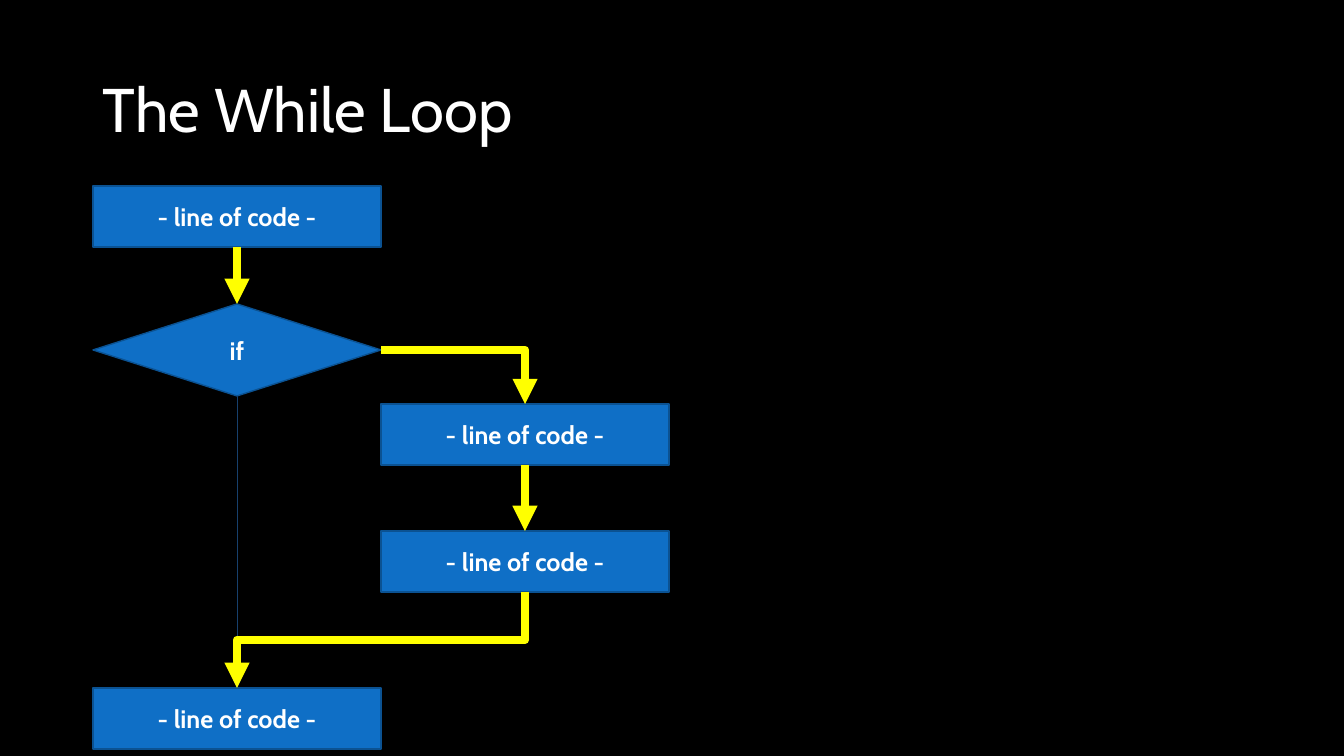
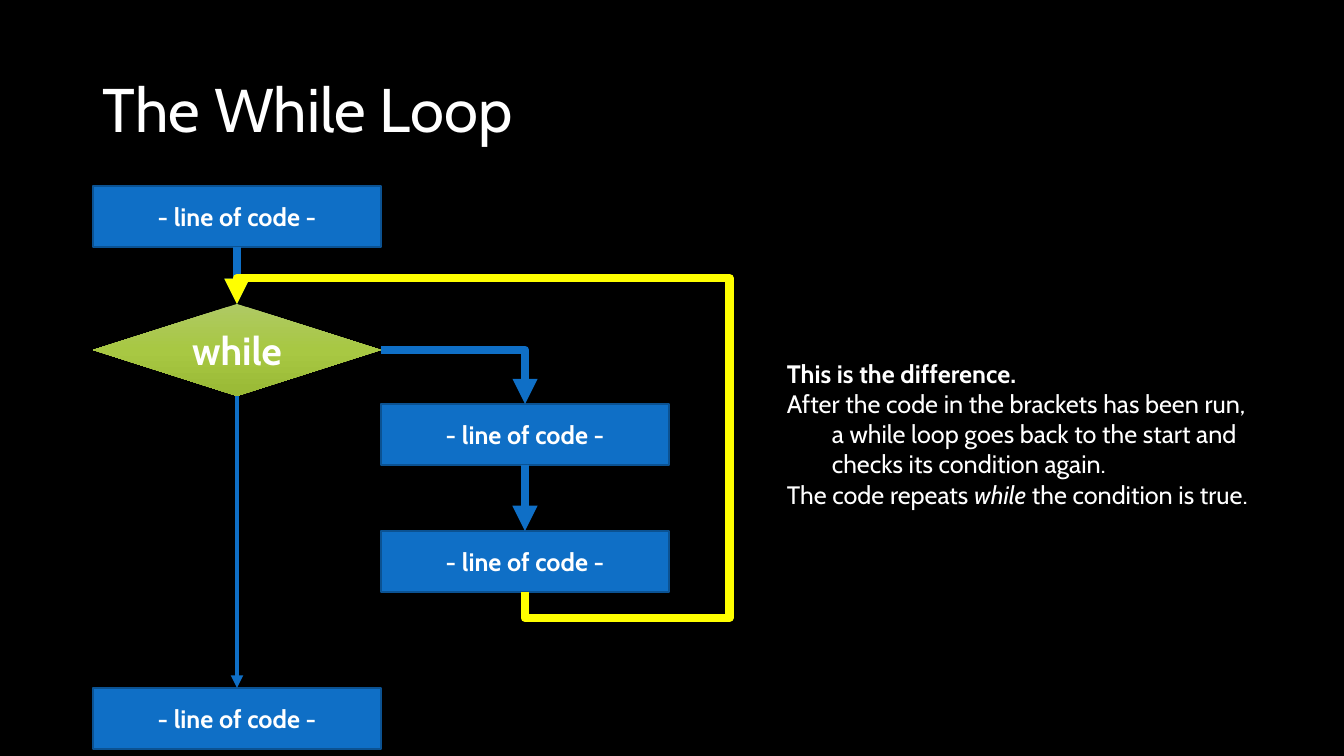
"""Build two flow chart slides that compare an if branch with a while loop."""
import copy

import pptx
import pptx.dml.color
import pptx.enum.dml
import pptx.enum.shapes
import pptx.enum.text
import pptx.oxml
import pptx.oxml.ns
import pptx.util

EMU_PER_PX = 914400 / 100.8
FONT = "Cabin"
BLACK, WHITE, YELLOW = "000000", "FFFFFF", "FFFF00"
BLUE, BLUE_EDGE, NAVY = "0F6FC6", "0B5292", "17406D"
GREENS = ["AFC964", "A8C843", "99B935"]
SLIDE_SIZE = (1344, 756)
TITLE_BOX = (93, 40, 1159, 146)
FLOW_BOX = (93, 186, 576, 563)
NOTE_BOX = (777, 353, 502, 163)
STEP_HEIGHT, DECISION_HEIGHT = 61, 92
TOP, BOTTOM, RIGHT = 0, 2, 3
SHAPES = pptx.enum.shapes.MSO_SHAPE
CONNECTORS = pptx.enum.shapes.MSO_CONNECTOR


def px(length):
    """Turn px into EMU."""
    return pptx.util.Emu(round(length * EMU_PER_PX))


def colour(value):
    """Turn a hex string into a colour."""
    return pptx.dml.color.RGBColor.from_string(value)


def style_runs(paragraph, size, bold=False):
    """Give every run of a paragraph the shared font."""
    for run in paragraph.runs:
        run.font.name = FONT
        run.font.size = pptx.util.Pt(size)
        run.font.bold = bold
        run.font.color.rgb = colour(WHITE)


def add_title(slide, box, text):
    """Place the slide title in a box."""
    frame = slide.shapes.add_textbox(*map(px, box)).text_frame
    frame.word_wrap = True
    frame.vertical_anchor = pptx.enum.text.MSO_ANCHOR.MIDDLE
    frame.text = text
    frame.paragraphs[0].line_spacing = 0.9
    style_runs(frame.paragraphs[0], 44)


def add_node(slide, kind, box, text, size=18):
    """Place one blue labelled node of the flow."""
    shape = slide.shapes.add_shape(kind, *map(px, box))
    shape.shadow.inherit = False
    shape.fill.solid()
    shape.fill.fore_color.rgb = colour(BLUE)
    shape.line.color.rgb = colour(BLUE_EDGE)
    shape.line.width = pptx.util.Pt(1)
    frame = shape.text_frame
    frame.vertical_anchor = pptx.enum.text.MSO_ANCHOR.MIDDLE
    frame.text = text
    frame.paragraphs[0].alignment = pptx.enum.text.PP_ALIGN.CENTER
    style_runs(frame.paragraphs[0], size, bold=True)
    return shape


def fill_gradient(shape, colours):
    """Fill a shape from top to bottom with evenly spaced colours."""
    shape.line.fill.background()
    shape.fill.gradient()
    shape.fill.gradient_angle = 270
    stop_list = shape.element.spPr.find(".//" + pptx.oxml.ns.qn("a:gsLst"))
    for _ in colours[2:]:
        stop_list.append(copy.deepcopy(stop_list[0]))
    for index, stop in enumerate(shape.fill.gradient_stops):
        stop.position = index / (len(colours) - 1)
        stop.color.rgb = colour(colours[index])


def site_point(shape, site):
    """Return the EMU point of a connection site."""
    middle_x = shape.left + shape.width // 2
    middle_y = shape.top + shape.height // 2
    return {
        TOP: (middle_x, shape.top),
        BOTTOM: (middle_x, shape.top + shape.height),
        RIGHT: (shape.left + shape.width, middle_y),
    }[site]


def add_arrow(slide, start, end, line_colour, width=6, kind=CONNECTORS.STRAIGHT):
    """Join two (shape, site) pairs with an arrow."""
    points = site_point(*start) + site_point(*end)
    arrow = slide.shapes.add_connector(kind, *points)
    arrow.begin_connect(*start)
    arrow.end_connect(*end)
    arrow.line.color.rgb = colour(line_colour)
    arrow.line.width = pptx.util.Pt(width)
    line = arrow.line._get_or_add_ln()
    line.append(pptx.oxml.parse_xml(
        f'<a:tailEnd {pptx.oxml.ns.nsdecls("a")} type="triangle"/>'))
    arrow.element.spPr.append(pptx.oxml.parse_xml(
        f'<a:effectLst {pptx.oxml.ns.nsdecls("a")}/>'))
    return arrow


def set_bends(arrow, preset, adjustments=()):
    """Choose the elbow preset and the place of its bends."""
    geometry = arrow.element.spPr.find(pptx.oxml.ns.qn("a:prstGeom"))
    geometry.set("prst", preset)
    guides = "".join(
        f'<a:gd name="adj{number}" fmla="val {round(share * 100000)}"/>'
        for number, share in enumerate(adjustments, 1))
    for child in list(geometry):
        geometry.remove(child)
    geometry.append(pptx.oxml.parse_xml(
        f'<a:avLst {pptx.oxml.ns.nsdecls("a")}>{guides}</a:avLst>'))


def turn_upright(arrow, start, end):
    """Rotate an elbow that leaves downwards and ends to the left."""
    (start_x, start_y), (end_x, end_y) = site_point(*start), site_point(*end)
    width, height = abs(end_y - start_y), abs(end_x - start_x)
    arrow.left = (start_x + end_x - width) // 2
    arrow.top = (start_y + end_y - height) // 2
    arrow.width, arrow.height = width, height
    transform = arrow.element.spPr.find(pptx.oxml.ns.qn("a:xfrm"))
    transform.set("rot", "5400000")
    transform.set("flipH", "1" if end_y < start_y else "0")
    transform.set("flipV", "0")


def add_flow(slide, box, word, word_size, arrow_colour, exit_colour, exit_width):
    """Draw the nodes and common arrows of a flow and return its nodes."""
    left, top, width, height = box
    column = width // 2

    def step(x, y):
        """Place a line of code relative to the flow."""
        return add_node(slide, SHAPES.RECTANGLE,
                        (left + x, top + y, column, STEP_HEIGHT), "- line of code -")

    before = step(0, 0)
    decision = add_node(slide, SHAPES.DIAMOND,
                        (left, top + 118, column, DECISION_HEIGHT), word, word_size)
    first = step(column, 218)
    after = step(0, height - STEP_HEIGHT)
    second = step(column, 345)

    add_arrow(slide, (before, BOTTOM), (decision, TOP), arrow_colour)
    branch = add_arrow(slide, (decision, RIGHT), (first, TOP), arrow_colour,
                       kind=CONNECTORS.ELBOW)
    set_bends(branch, "bentConnector2")
    add_arrow(slide, (first, BOTTOM), (second, TOP), arrow_colour)
    add_arrow(slide, (decision, BOTTOM), (after, TOP), exit_colour, exit_width)
    return decision, second, after


def add_return(slide, last, target, preset, adjustments=()):
    """Draw the yellow arrow that leaves the branch."""
    start, end = (last, BOTTOM), (target, TOP)
    arrow = add_arrow(slide, start, end, YELLOW, kind=CONNECTORS.ELBOW)
    set_bends(arrow, preset, adjustments)
    turn_upright(arrow, start, end)


def add_note(slide, box):
    """Place the explanation of the while loop."""
    frame = slide.shapes.add_textbox(*map(px, box)).text_frame
    frame.word_wrap = True
    lines = [
        (["This is the difference."], True, 0),
        (["After the code in the brackets has been run,"], False, 0),
        (["a while loop goes back to the start and"], False, 45),
        (["checks its condition again."], False, 45),
        (["The code repeats ", "while", " the condition is true."], False, 0),
    ]
    for index, (parts, bold, indent) in enumerate(lines):
        paragraph = frame.add_paragraph() if index else frame.paragraphs[0]
        for part in parts:
            run = paragraph.add_run()
            run.text = part
            run.font.italic = part == "while"
        style_runs(paragraph, 18, bold)
        if indent:
            paragraph._p.get_or_add_pPr().set("marL", str(px(indent)))


def add_base(presentation):
    """Add a black slide with the shared title."""
    slide = presentation.slides.add_slide(presentation.slide_layouts[6])
    slide.background.fill.solid()
    slide.background.fill.fore_color.rgb = colour(BLACK)
    add_title(slide, TITLE_BOX, "The While Loop")
    return slide


def build_if_slide(presentation):
    """Show the path through an if statement."""
    slide = add_base(presentation)
    _, second, after = add_flow(slide, FLOW_BOX, "if", 18, YELLOW, NAVY, 0.5)
    add_return(slide, second, after, "bentConnector3", [0.5])


def build_while_slide(presentation):
    """Show the path that goes back in a while loop."""
    slide = add_base(presentation)
    decision, second, _ = add_flow(slide, FLOW_BOX, "while", 28, BLUE, BLUE, 3)
    fill_gradient(decision, GREENS)
    add_return(slide, second, decision, "bentConnector5", [-0.09, -0.71, 1.09])
    add_note(slide, NOTE_BOX)


def main():
    """Build and save the presentation."""
    presentation = pptx.Presentation()
    presentation.slide_width, presentation.slide_height = map(px, SLIDE_SIZE)
    build_if_slide(presentation)
    build_while_slide(presentation)
    presentation.save("out.pptx")


if __name__ == "__main__":
    main()
